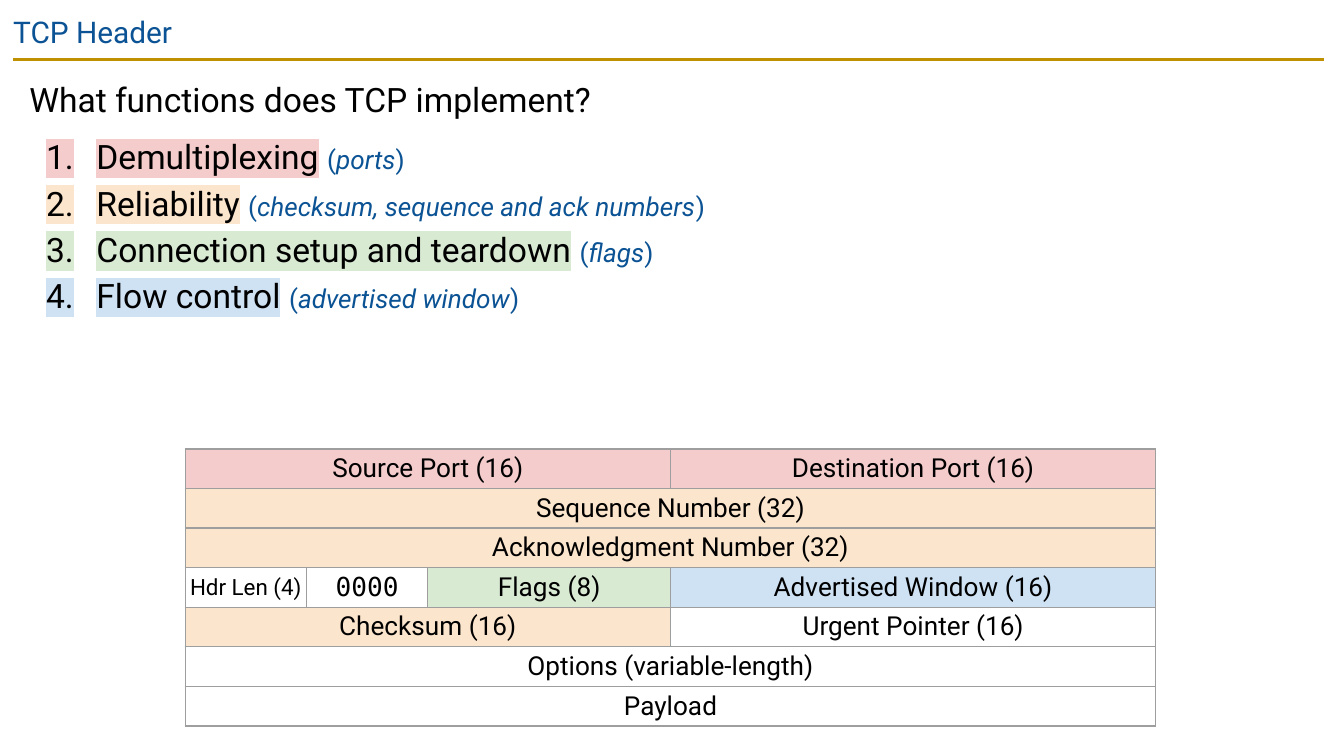
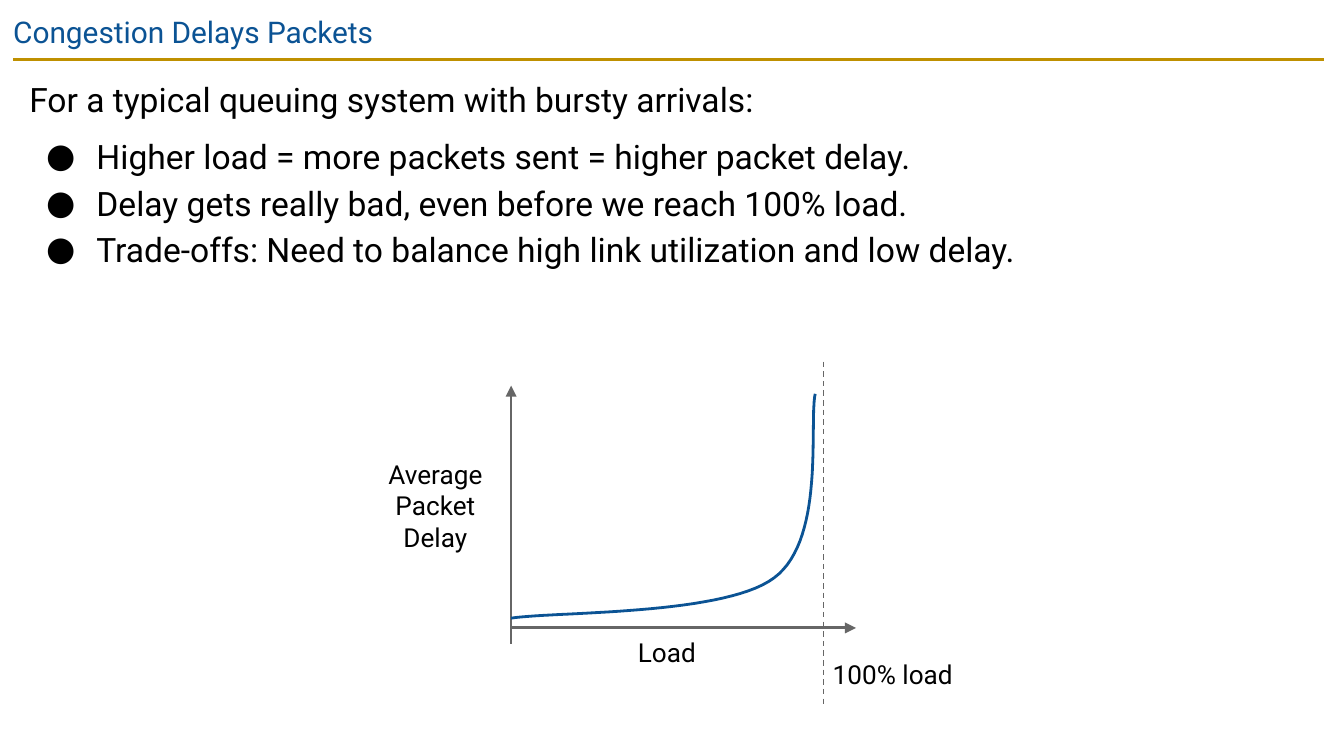
from dataclasses import dataclass

from lxml.etree import SubElement
from pptx import Presentation
from pptx.dml.color import RGBColor
from pptx.enum.dml import MSO_LINE
from pptx.enum.shapes import MSO_CONNECTOR
from pptx.enum.text import MSO_ANCHOR, MSO_AUTO_SIZE, PP_ALIGN
from pptx.oxml.ns import qn
from pptx.util import Pt


@dataclass(frozen=True)
class Theme:
    font: str = "Roboto"
    mono: str = "DejaVu Sans Mono"
    black: str = "000000"
    blue: str = "0B5394"
    gold: str = "BF9000"
    axis: str = "666666"
    border: str = "9E9E9E"
    red_tint: str = "F4CCCC"
    orange_tint: str = "FCE5CD"
    green_tint: str = "D9EAD3"
    blue_tint: str = "CFE2F3"
    title: int = 16
    body: int = 18
    label: int = 14
    small: int = 12


THEME = Theme()


def rgb(color):
    return RGBColor.from_string(color)


def child(parent, tag, **attributes):
    return SubElement(parent, qn(tag), attributes)


def add_run(p, text, size=THEME.label, color=THEME.black, font=THEME.font,
            italic=False, highlight=None):
    r = p.add_run()
    r.text = text
    r.font.size = Pt(size)
    r.font.name = font
    r.font.italic = italic
    r.font.color.rgb = rgb(color)
    if highlight:
        rpr = r.font._element
        mark = child(rpr, "a:highlight")
        child(mark, "a:srgbClr", val=highlight)
        rpr.find(qn("a:solidFill")).addnext(mark)


def set_bullet(p, numbered):
    ppr = p._p.get_or_add_pPr()
    ppr.set("marL", str(Pt(36)))
    ppr.set("indent", str(Pt(-27)))
    child(child(ppr, "a:buClr"), "a:srgbClr", val=THEME.black)
    child(ppr, "a:buSzPts", val=str(THEME.body * 100))
    child(ppr, "a:buFont", typeface=THEME.font)
    if numbered:
        child(ppr, "a:buAutoNum", type="arabicPeriod")
    else:
        child(ppr, "a:buChar", char="●")


def set_borders(cell, color, width):
    tcpr = cell._tc.get_or_add_tcPr()
    for position, side in enumerate(("a:lnL", "a:lnR", "a:lnT", "a:lnB")):
        ln = child(tcpr, side, w=str(Pt(width)))
        child(child(ln, "a:solidFill"), "a:srgbClr", val=color)
        tcpr.insert(position, ln)


def bezier(start, control1, control2, end, steps=30):
    """Points along a cubic curve, without its start."""
    points = []
    for i in range(1, steps + 1):
        t = i / steps
        u = 1 - t
        weights = (u ** 3, 3 * u * u * t, 3 * u * t * t, t ** 3)
        points.append(tuple(
            sum(w * v for w, v in zip(weights, values))
            for values in zip(start, control1, control2, end)))
    return points


class Deck:
    def __init__(self, theme):
        self.theme = theme
        self.prs = Presentation()
        self.prs.slide_width, self.prs.slide_height = Pt(720), Pt(405)
        self.slide = None

    def add_slide(self, title):
        self.slide = self.prs.slides.add_slide(self.prs.slide_layouts[6])
        self.line((7.2, 31.9), (709.2, 31.9), self.theme.gold)
        tf = self.text_box(0, 0, 671, 31, inset=7.2)
        add_run(tf.paragraphs[0], title, size=self.theme.title, color=self.theme.blue)

    def text_box(self, left, top, width, height, inset=2.2):
        sp = self.slide.shapes.add_textbox(Pt(left), Pt(top), Pt(width), Pt(height))
        tf = sp.text_frame
        tf.word_wrap = True
        tf.margin_left = tf.margin_right = tf.margin_top = tf.margin_bottom = Pt(inset)
        return tf

    def body(self, height, lead, items, numbered=False):
        """A lead line and a list; each item is (text, highlight, note)."""
        tf = self.text_box(8.6, 31.7, 701.6, height, inset=7.2)
        p = tf.paragraphs[0]
        p.line_spacing = 1.15
        add_run(p, lead, size=self.theme.body)
        note_style = {"size": self.theme.label, "color": self.theme.blue}
        for i, (text, highlight, note) in enumerate(items):
            p = tf.add_paragraph()
            set_bullet(p, numbered)
            p.line_spacing = 1.15
            p.space_before = Pt(0 if i else 6)
            add_run(p, text, size=self.theme.body, highlight=highlight)
            if note:
                add_run(p, " ", size=self.theme.body)
                add_run(p, "(", **note_style)
                add_run(p, note, italic=True, **note_style)
                add_run(p, ")", **note_style)

    def label(self, text, left, top, width, height):
        tf = self.text_box(left, top, width, height)
        tf.auto_size = MSO_AUTO_SIZE.SHAPE_TO_FIT_TEXT
        p = tf.paragraphs[0]
        p.alignment = PP_ALIGN.CENTER
        add_run(p, text)

    def line(self, start, end, color, width=1.5, arrow=False, dashed=False):
        points = [Pt(v) for v in (*start, *end)]
        cxn = self.slide.shapes.add_connector(MSO_CONNECTOR.STRAIGHT, *points)
        cxn.line.color.rgb = rgb(color)
        cxn.line.width = Pt(width)
        if dashed:
            cxn.line.dash_style = MSO_LINE.DASH
        if arrow:
            child(cxn.line._get_or_add_ln(), "a:tailEnd", type="triangle")
        child(cxn._element.spPr, "a:effectLst")

    def curve(self, start, segments, color, width=1.5):
        """Joined cubic segments, each (control1, control2, end)."""
        builder = self.slide.shapes.build_freeform(Pt(start[0]), Pt(start[1]))
        for segment in segments:
            points = bezier(start, *segment)
            builder.add_line_segments([(Pt(x), Pt(y)) for x, y in points], close=False)
            start = segment[-1]
        sp = builder.convert_to_shape()
        sp.shadow.inherit = False
        sp.fill.background()
        sp.line.color.rgb = rgb(color)
        sp.line.width = Pt(width)

    def field_table(self, left, top, column_width, row_height, rows, columns=8):
        """Rows of fields, each (text, columns spanned, fill, run format)."""
        table = self.slide.shapes.add_table(
            len(rows), columns, Pt(left), Pt(top),
            Pt(columns * column_width), Pt(len(rows) * row_height)).table
        table.first_row = table.horz_banding = False
        for column in table.columns:
            column.width = Pt(column_width)
        for i, fields in enumerate(rows):
            table.rows[i].height = Pt(row_height)
            j = 0
            for text, span, fill, style in fields:
                self.field(table, i, j, span, text, fill, style)
                j += span

    def field(self, table, i, j, span, text, fill, style):
        cell = table.cell(i, j)
        if span > 1:
            cell.merge(table.cell(i, j + span - 1))
        for k in range(j, j + span):
            part = table.cell(i, k)
            if fill:
                part.fill.solid()
                part.fill.fore_color.rgb = rgb(fill)
            else:
                part.fill.background()
            set_borders(part, self.theme.border, 0.75)
            part.margin_left = part.margin_right = Pt(2.2)
            part.margin_top = part.margin_bottom = Pt(2.2)
        cell.vertical_anchor = MSO_ANCHOR.MIDDLE
        p = cell.text_frame.paragraphs[0]
        p.alignment = PP_ALIGN.CENTER
        add_run(p, text, **style)


def tcp_header(deck):
    t = deck.theme
    deck.add_slide("TCP Header")
    deck.body(192, "What functions does TCP implement?", [
        ("Demultiplexing", t.red_tint, "ports"),
        ("Reliability", t.orange_tint, "checksum, sequence and ack numbers"),
        ("Connection setup and teardown", t.green_tint, "flags"),
        ("Flow control", t.blue_tint, "advertised window"),
    ], numbered=True)
    deck.field_table(99.2, 240.5, 65, 16, [
        [("Source Port (16)", 4, t.red_tint, {}),
         ("Destination Port (16)", 4, t.red_tint, {})],
        [("Sequence Number (32)", 8, t.orange_tint, {})],
        [("Acknowledgment Number (32)", 8, t.orange_tint, {})],
        [("Hdr Len (4)", 1, None, {"size": t.small}),
         ("0000", 1, None, {"font": t.mono}),
         ("Flags (8)", 2, t.green_tint, {}),
         ("Advertised Window (16)", 4, t.blue_tint, {})],
        [("Checksum (16)", 4, t.orange_tint, {}),
         ("Urgent Pointer (16)", 4, None, {})],
        [("Options (variable-length)", 8, None, {})],
        [("Payload", 8, None, {})],
    ])


def congestion_delay(deck):
    t = deck.theme
    deck.add_slide("Congestion Delays Packets")
    items = [
        "Higher load = more packets sent = higher packet delay.",
        "Delay gets really bad, even before we reach 100% load.",
        "Trade-offs: Need to balance high link utilization and low delay.",
    ]
    deck.body(154, "For a typical queuing system with bursty arrivals:",
              [(item, None, None) for item in items])

    axis_x, axis_y, full_load_x = 273.8, 336.4, 441.2
    deck.line((axis_x, 345), (axis_x, 206.6), t.axis, arrow=True)
    deck.line((axis_x, axis_y), (458.6, axis_y), t.axis, arrow=True)
    deck.curve((axis_x, 331.2), [
        ((297.4, 327.6), (388.1, 329.8), (414.7, 309.6)),
        ((442.1, 289.4), (433.4, 227.5), (436.7, 211)),
    ], t.blue)
    deck.line((full_load_x, 193.7), (full_load_x, 378.7), t.axis, width=0.75, dashed=True)
    deck.label("Load", axis_x, 339, 167, 21.6)
    deck.label("100% load", full_load_x, 350.8, 74.2, 21.6)
    deck.label("Average Packet Delay", 198.7, 243.4, 69.1, 55.4)


def main():
    deck = Deck(THEME)
    tcp_header(deck)
    congestion_delay(deck)
    deck.prs.save("out.pptx")


if __name__ == "__main__":
    main()
